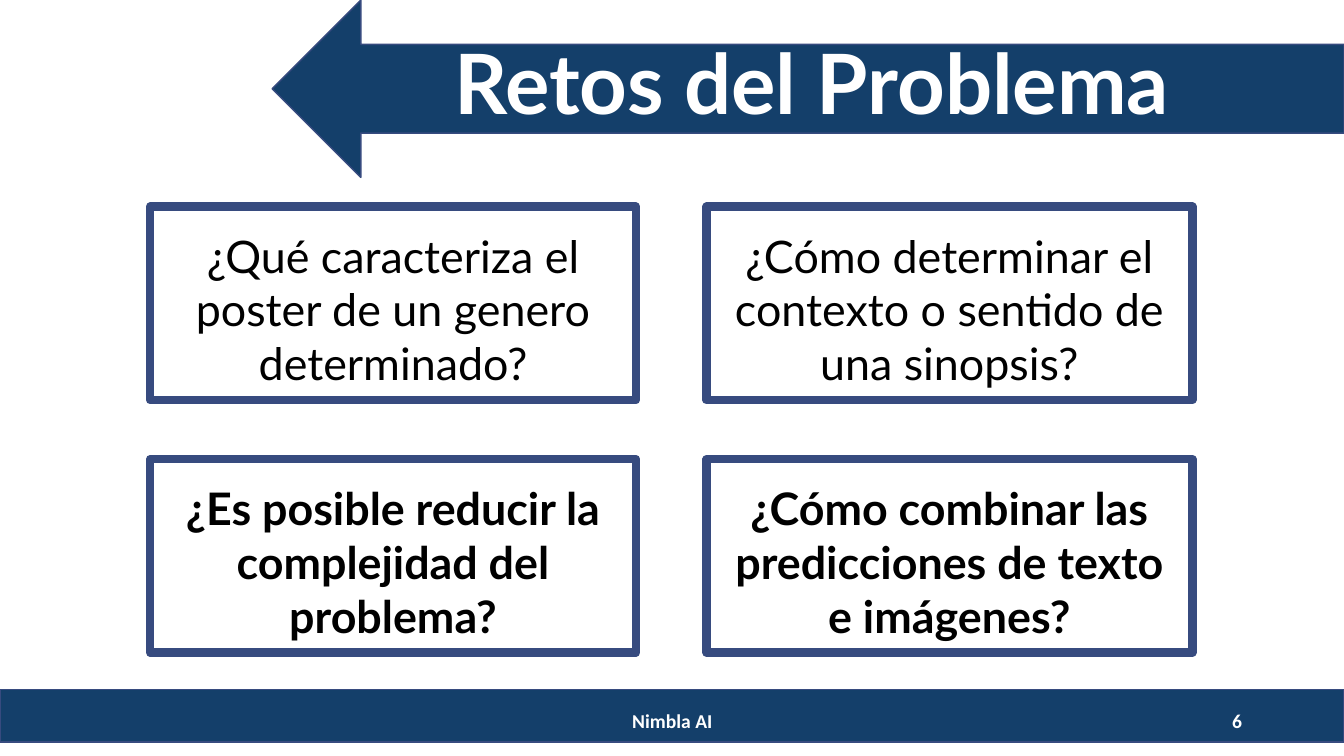
from pptx import Presentation
from pptx.dml.color import RGBColor
from pptx.enum.shapes import MSO_SHAPE
from pptx.enum.text import MSO_ANCHOR, MSO_AUTO_SIZE, PP_ALIGN
from pptx.util import Pt

NAVY, EDGE, WHITE, BLACK = "143F6A", "374B7F", "FFFFFF", "000000"

# Question and whether it is bold, row by row
QUESTIONS = [
    [("¿Qué caracteriza el poster de un genero determinado?", False),
     ("¿Cómo determinar el contexto o sentido de una sinopsis?", False)],
    [("¿Es posible reducir la complejidad del problema?", True),
     ("¿Cómo combinar las predicciones de texto e imágenes?", True)],
]


def color(value):
    return RGBColor.from_string(value)


def add_block(s, kind, x, y, w, h, line_width, fill=None):
    sp = s.shapes.add_shape(kind, Pt(x), Pt(y), Pt(w), Pt(h))
    sp.shadow.inherit = False
    if fill:
        sp.fill.solid()
        sp.fill.fore_color.rgb = color(fill)
    else:
        sp.fill.background()
    sp.line.color.rgb = color(EDGE)
    sp.line.width = Pt(line_width)
    return sp


def write(tf, text, size, font, ink, bold=True, align=PP_ALIGN.CENTER,
          anchor=MSO_ANCHOR.MIDDLE):
    tf.word_wrap = True
    tf.vertical_anchor = anchor
    p = tf.paragraphs[0]
    p.alignment = align
    r = p.add_run()
    r.text = text
    r.font.size = Pt(size)
    r.font.name = font
    r.font.bold = bold
    r.font.color.rgb = color(ink)
    return p


def add_text(s, x, y, w, h, *args, **kwargs):
    sp = s.shapes.add_textbox(Pt(x), Pt(y), Pt(w), Pt(h))
    write(sp.text_frame, *args, **kwargs)
    return sp


def add_title(s, text):
    arrow = add_block(s, MSO_SHAPE.RIGHT_ARROW, 194.4, 0, 765.6, 126.72, 1, NAVY)
    arrow.rotation = 180
    title = s.shapes.title
    title.left, title.top, title.width, title.height = (
        Pt(266.4), Pt(20.88), Pt(627.12), Pt(77.04))
    tf = title.text_frame
    tf.auto_size = MSO_AUTO_SIZE.NONE
    p = write(tf, text, 59.4, "Lato", WHITE, anchor=MSO_ANCHOR.BOTTOM)
    p.line_spacing = 0.9
    # The arrow lies behind the title
    title.element.addprevious(arrow.element)


def add_footer(s, name, number):
    add_block(s, MSO_SHAPE.RECTANGLE, 0, 492.48, 960, 37.44, 1, NAVY)
    add_text(s, 318.24, 500.4, 324, 28.8, name, 14, "Calibri", WHITE)
    add_text(s, 678.24, 500.4, 216, 28.8, number, 14, "Calibri", WHITE,
             align=PP_ALIGN.RIGHT)


def add_question(s, x, y, text, bold):
    add_block(s, MSO_SHAPE.RECTANGLE, x, y, 347, 138.2, 6)
    sp = add_text(s, x + 10.8, y + 12, 325.4, 123.8, text, 32, "Lato", BLACK,
                  bold=bold, anchor=MSO_ANCHOR.TOP)
    sp.text_frame.auto_size = MSO_AUTO_SIZE.SHAPE_TO_FIT_TEXT


def main():
    prs = Presentation()
    prs.slide_width, prs.slide_height = Pt(960), Pt(540)
    s = prs.slides.add_slide(prs.slide_layouts[5])

    # Footer bar and title arrow
    add_footer(s, "Nimbla AI", "6")
    add_title(s, "Retos del Problema")

    # Grid of framed questions
    for row, questions in enumerate(QUESTIONS):
        for col, (text, bold) in enumerate(questions):
            add_question(s, 107.3 + col * 397.4, 147.6 + row * 180.4, text, bold)

    prs.save("out.pptx")


if __name__ == "__main__":
    main()
